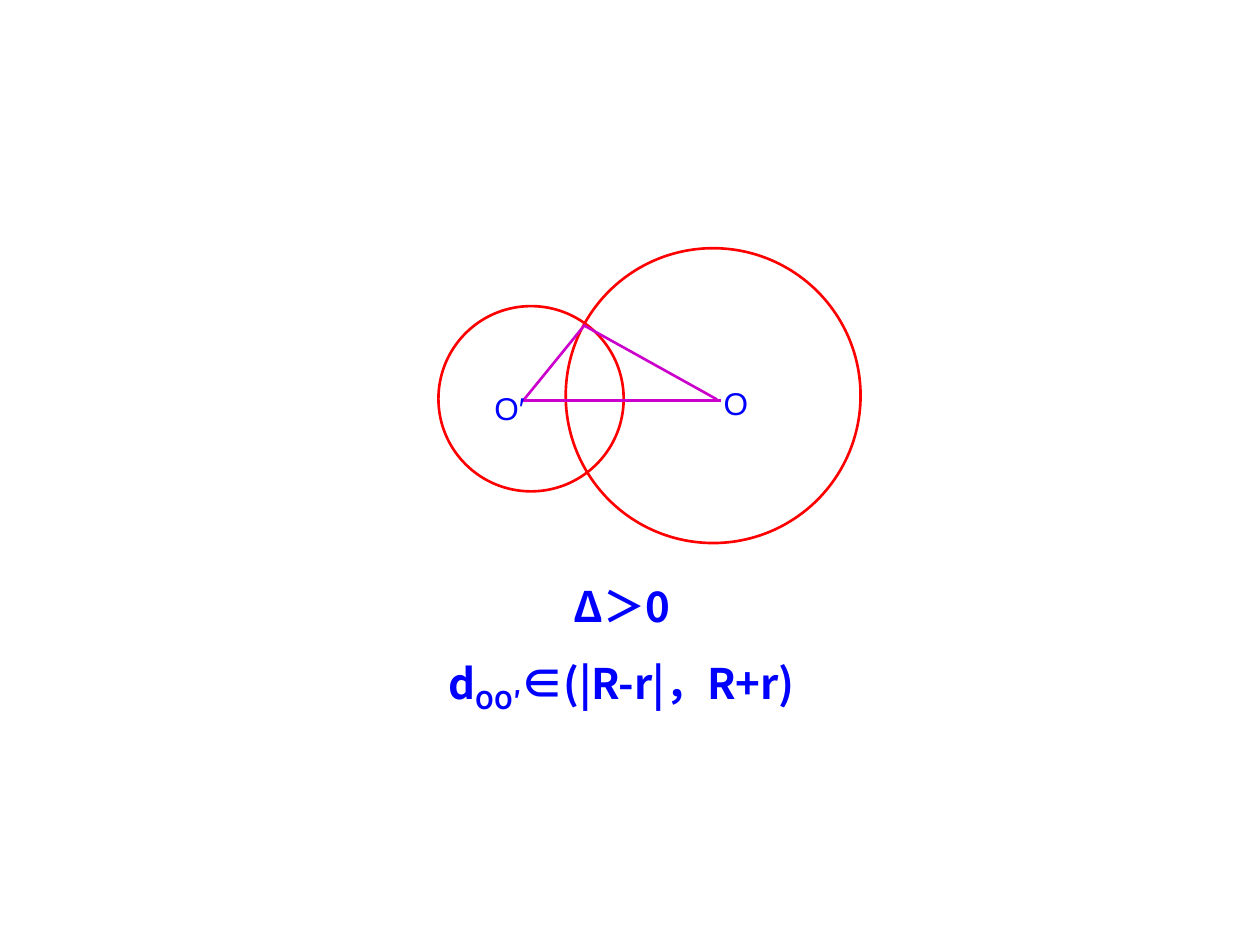
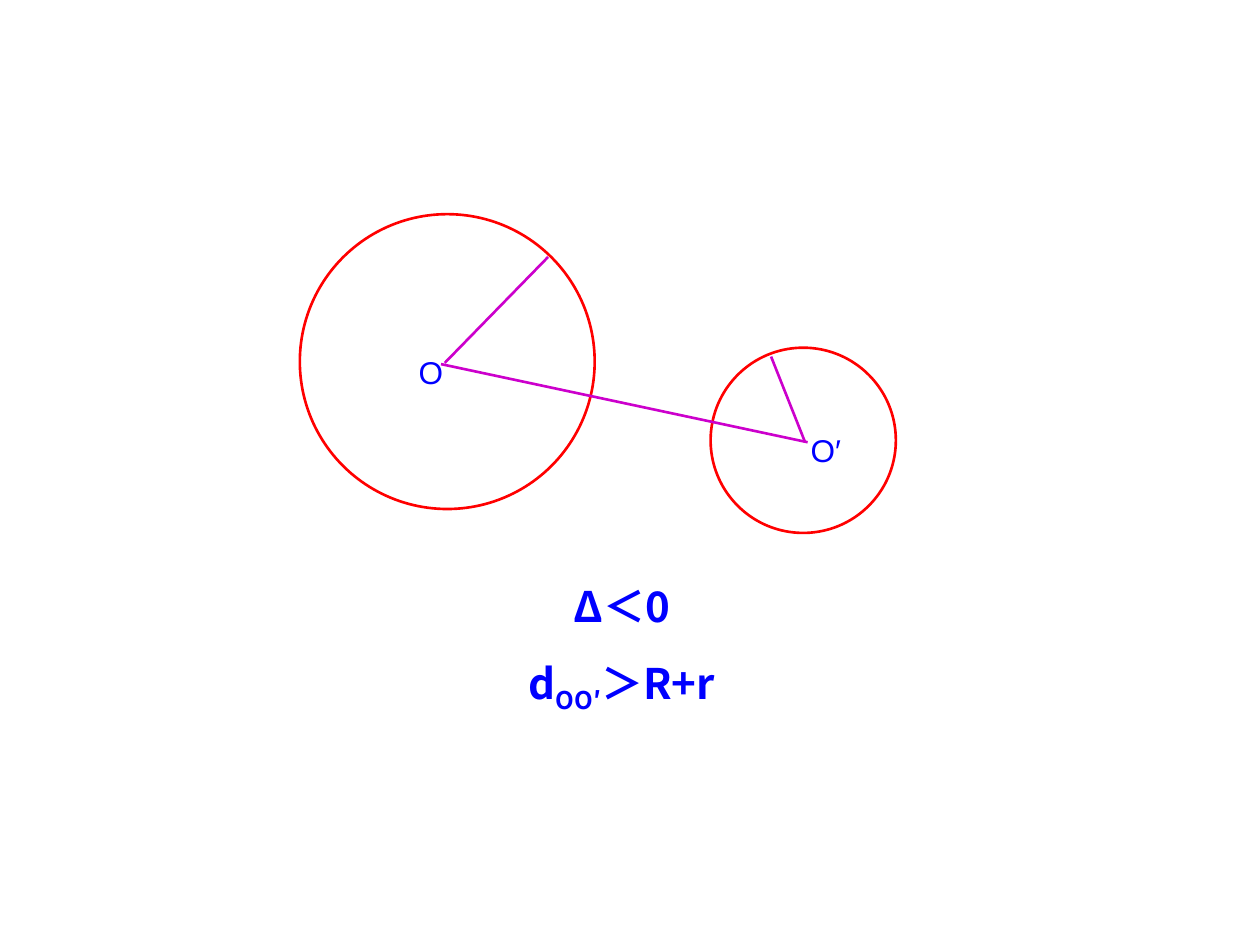
from dataclasses import dataclass

from lxml.etree import SubElement
from pptx import Presentation
from pptx.dml.color import RGBColor
from pptx.enum.shapes import MSO_CONNECTOR as Connector, MSO_SHAPE as Shape
from pptx.enum.text import MSO_AUTO_SIZE as AutoSize, PP_ALIGN as Align
from pptx.oxml.ns import qn
from pptx.util import Inches, Pt


@dataclass(frozen=True)
class Theme:
    circle = RGBColor(0xFF, 0x00, 0x00)
    segment = RGBColor(0xCC, 0x00, 0xCC)
    text = RGBColor(0x00, 0x00, 0xFF)
    stroke = Pt(1.5)
    formula_font = "Noto Sans CJK SC"
    label_font = "Arial"
    formula_size = Pt(24)
    label_size = Pt(18)
    formula_gap = Pt(15)
    subscript = "-25000"


THEME = Theme()
FORMULA_BOX = (2.86, 4.56, 4.15, 1.17)
DIAMETERS = {"O": 2.34, "O′": 1.47}
LABEL_SIZES = {"O": (0.48, 0.4), "O′": (0.81, 0.4)}
FORMULA_FORMAT = {"name": THEME.formula_font, "size": THEME.formula_size, "bold": True}
LABEL_FORMAT = {"name": THEME.label_font, "size": THEME.label_size, "bold": False}

CASES = [
    {
        "origin": (3.48, 1.97),
        "circles": {"O′": (0, 0.46), "O": (1.01, 0)},
        "segments": [
            ((0.67, 1.21), (2.24, 1.21)),
            ((0.68, 1.2), (1.16, 0.61)),
            ((1.15, 0.61), (2.21, 1.2)),
        ],
        "labels": {"O": (2.12, 1.03), "O′": (0.16, 1.07)},
        "discriminant": "Δ＞0",
        "distance": "∈(|R-r|，R+r)",
    },
    {
        "origin": (2.38, 1.7),
        "circles": {"O′": (3.26, 1.06), "O": (0, 0)},
        "segments": [
            ((1.12, 1.19), (4.03, 1.81)),
            ((1.15, 1.18), (1.97, 0.34)),
            ((4.01, 1.81), (3.74, 1.13)),
        ],
        "labels": {"O": (0.8, 1.05), "O′": (3.77, 1.67)},
        "discriminant": "Δ＜0",
        "distance": "＞R+r",
    },
]


def shift(origin, point):
    return [Inches(start + offset) for start, offset in zip(origin, point)]


def add_text(page, left, top, width, height, lines, font_format):
    box = page.shapes.add_textbox(left, top, width, height)
    frame = box.text_frame
    frame.word_wrap = True
    frame.auto_size = AutoSize.SHAPE_TO_FIT_TEXT
    for index, line in enumerate(lines):
        para = frame.add_paragraph() if index else frame.paragraphs[0]
        para.alignment = Align.CENTER
        if index:
            para.space_before = THEME.formula_gap
        for text, lowered in line:
            span = para.add_run()
            span.text = text
            for name, value in font_format.items():
                setattr(span.font, name, value)
            span.font.color.rgb = THEME.text
            properties = span._r.get_or_add_rPr()
            SubElement(properties, qn("a:ea")).set("typeface", font_format["name"])
            if lowered:
                properties.set("baseline", THEME.subscript)


def add_circle(page, left, top, diameter):
    circle = page.shapes.add_shape(Shape.OVAL, left, top, diameter, diameter)
    circle.shadow.inherit = False
    circle.fill.background()
    circle.line.color.rgb = THEME.circle
    circle.line.width = THEME.stroke


def add_segment(page, start, end):
    segment = page.shapes.add_connector(Connector.STRAIGHT, *start, *end)
    segment.line.color.rgb = THEME.segment
    segment.line.width = THEME.stroke
    SubElement(segment._element.spPr, qn("a:effectLst"))


def draw_circles(page, case):
    origin = case["origin"]
    for name, corner in case["circles"].items():
        add_circle(page, *shift(origin, corner), Inches(DIAMETERS[name]))
    for start, end in case["segments"]:
        add_segment(page, shift(origin, start), shift(origin, end))
    for name, corner in case["labels"].items():
        size = map(Inches, LABEL_SIZES[name])
        add_text(page, *shift(origin, corner), *size, [[(name, False)]], LABEL_FORMAT)


def write_formulas(page, box, case):
    lines = [
        [(case["discriminant"], False)],
        [("d", False), ("OO′", True), (case["distance"], False)],
    ]
    add_text(page, *map(Inches, box), lines, FORMULA_FORMAT)


def main():
    deck = Presentation()
    deck.slide_width, deck.slide_height = Inches(10), Inches(7.5)
    for case in CASES:
        page = deck.slides.add_slide(deck.slide_layouts[6])
        draw_circles(page, case)
        write_formulas(page, FORMULA_BOX, case)
    deck.save("out.pptx")


if __name__ == "__main__":
    main()
